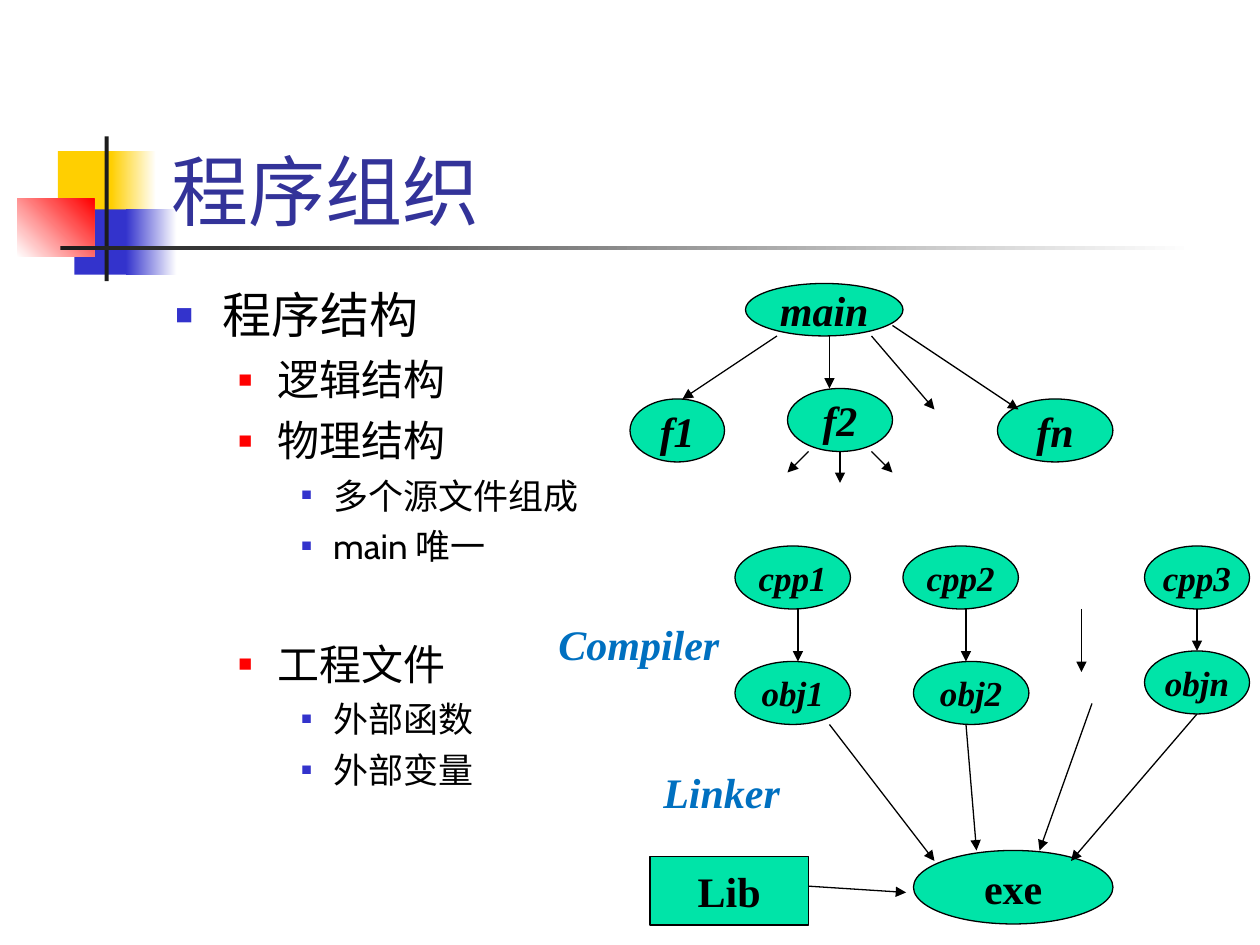
from typing import NamedTuple, Optional

from lxml.etree import SubElement
from pptx import Presentation
from pptx.dml.color import RGBColor as RGB
from pptx.enum.shapes import MSO_CONNECTOR as Link, MSO_SHAPE as Form
from pptx.enum.text import MSO_ANCHOR as Anchor, MSO_AUTO_SIZE as Auto, PP_ALIGN as Align
from pptx.oxml.ns import qn
from pptx.util import Cm, Pt

BLACK = RGB(0x00, 0x00, 0x00)
WHITE = RGB(0xFF, 0xFF, 0xFF)
DARK = RGB(0x1C, 0x1C, 0x1C)
GOLD = RGB(0xFF, 0xCF, 0x01)
BLUE = RGB(0x33, 0x33, 0xCC)
RED = RGB(0xFF, 0x00, 0x00)
NAVY = RGB(0x33, 0x33, 0x99)
GREEN = RGB(0x00, 0xE4, 0xA8)
SKY = RGB(0x00, 0x70, 0xC0)
SANS, SERIF = "Cabin", "Times New Roman"
STEP = 2.54 / 12  # diagram grid, in cm


class Block(NamedTuple):
    left: float
    top: float
    width: float
    height: float
    color: RGB
    fade: Optional[RGB] = None
    angle: int = 0


class Level(NamedTuple):
    size: int
    left: float
    hang: float
    before: int
    color: RGB
    scale: int


class Item(NamedTuple):
    text: str
    level: int
    before: Optional[int] = None


class Node(NamedTuple):
    text: str
    left: float
    top: float
    width: float
    height: float = 6
    size: int = 24
    italic: bool = True
    form: Form = Form.OVAL


class Label(NamedTuple):
    text: str
    left: float
    top: float
    width: float


class Arrow(NamedTuple):
    x1: float
    y1: float
    x2: float
    y2: float


BLOCKS = [
    Block(1.17, 3.05, 1.22, 1.32, GOLD),
    Block(2.24, 3.05, 0.91, 1.32, GOLD, WHITE),
    Block(1.5, 4.22, 1.17, 1.32, BLUE),
    Block(2.54, 4.22, 1.02, 1.32, BLUE, WHITE),
    Block(0.35, 4.01, 1.55, 1.17, WHITE, RED, 45),
    Block(2.11, 2.75, 0.08, 2.92, DARK),
    Block(1.22, 4.95, 22.86, 0.09, DARK, WHITE),
]
LEVELS = [
    Level(28, 0.95, 0.95, 7, BLUE, 60),
    Level(24, 2.06, 0.79, 6, RED, 55),
    Level(20, 3.18, 0.64, 5, BLUE, 50),
]
ITEMS = [
    Item("程序结构", 0), Item("逻辑结构", 1), Item("物理结构", 1),
    Item("多个源文件组成", 2), Item("main 唯一", 2),
    Item("工程文件", 1, 41), Item("外部函数", 2), Item("外部变量", 2),
]
NODES = [
    Node("main", 71, 27, 15, 5),
    Node("f1", 60, 38, 9), Node("f2", 75, 37, 10), Node("fn", 95, 38, 11),
    Node("cpp1", 70, 52, 11, size=20), Node("cpp2", 86, 52, 11, size=20),
    Node("cpp3", 109, 52, 10, size=20),
    Node("obj1", 70, 63, 11, size=20), Node("obj2", 87, 63, 11, size=20),
    Node("objn", 109, 62, 10, size=20),
    Node("exe", 87, 81, 19, 7, italic=False),
    Node("Lib", 61.9, 81.6, 15.1, 6.5, italic=False, form=Form.RECTANGLE),
]
ARROWS = [
    Arrow(74, 32, 65, 38), Arrow(79, 32, 79, 37),
    Arrow(85, 31, 97, 39), Arrow(83, 32, 89, 39),
    Arrow(77, 43, 75, 45), Arrow(80, 43, 80, 46), Arrow(83, 43, 85, 45),
    Arrow(76, 58, 76, 63), Arrow(92, 58, 92, 63),
    Arrow(103, 58, 103, 64), Arrow(114, 58, 114, 62),
    Arrow(79, 69, 89, 82), Arrow(92, 69, 93, 81),
    Arrow(104, 67, 99, 81), Arrow(114, 68, 102, 82),
    Arrow(77, 84.4, 86.3, 85),
]
LABELS = [Label("Compiler", 52, 58.35, 17.9), Label("Linker", 62, 72.4, 13.7)]


def grid(*steps: float) -> list:
    return [Cm(n * STEP) for n in steps]


def place(shape, left: float, top: float, width: float, height: float) -> None:
    shape.left, shape.top = Cm(left), Cm(top)
    shape.width, shape.height = Cm(width), Cm(height)


def style(para, name: str, size: int, color: RGB, bold=False, italic=False) -> None:
    font = para.font
    font.name, font.size = name, Pt(size)
    font.bold, font.italic = bold, italic
    font.color.rgb = color


def add_block(slide, block: Block, order: int) -> None:
    """Draw a block of the ornament behind the text."""
    box = [Cm(n) for n in block[:4]]
    shape = slide.shapes.add_shape(Form.RECTANGLE, *box)
    shape.shadow.inherit = False
    shape.line.fill.background()
    if block.fade is None:
        shape.fill.solid()
        shape.fill.fore_color.rgb = block.color
    else:
        shape.fill.gradient()
        shape.fill.gradient_angle = block.angle
        for stop, color in zip(shape.fill.gradient_stops, (block.color, block.fade)):
            stop.color.rgb = color
    slide.shapes._spTree.insert(2 + order, shape._element)


def add_item(para, item: Item) -> None:
    level = LEVELS[item.level]
    para.text, para.level = item.text, item.level
    para.alignment = Align.LEFT
    para.space_before = Pt(item.before or level.before)
    props = para._p.get_or_add_pPr()
    props.set("marL", str(Cm(level.left)))
    props.set("indent", str(-Cm(level.hang)))
    SubElement(SubElement(props, qn("a:buClr")), qn("a:srgbClr"), val=str(level.color))
    SubElement(props, qn("a:buSzPct"), val=str(level.scale * 1000))
    SubElement(props, qn("a:buFont"), typeface="Arial")
    SubElement(props, qn("a:buChar"), char="■")
    style(para, SANS, level.size, BLACK)


def add_node(slide, node: Node) -> None:
    box = grid(node.left, node.top, node.width, node.height)
    shape = slide.shapes.add_shape(node.form, *box)
    shape.shadow.inherit = False
    shape.fill.solid()
    shape.fill.fore_color.rgb = GREEN
    shape.line.color.rgb = BLACK
    shape.line.width = Pt(0.75)
    frame = shape.text_frame
    frame.word_wrap, frame.vertical_anchor = False, Anchor.MIDDLE
    para = frame.paragraphs[0]
    para.text, para.alignment = node.text, Align.CENTER
    style(para, SERIF, node.size, BLACK, True, node.italic)


def add_arrow(slide, arrow: Arrow) -> None:
    line = slide.shapes.add_connector(Link.STRAIGHT, *grid(*arrow))
    line.line.color.rgb = BLACK
    line.line.width = Pt(0.75)
    SubElement(line.line._get_or_add_ln(), qn("a:tailEnd"), type="triangle")
    SubElement(line._element.spPr, qn("a:effectLst"))


def add_label(slide, label: Label) -> None:
    box = slide.shapes.add_textbox(*grid(label.left, label.top, label.width, 6))
    frame = box.text_frame
    frame.word_wrap, frame.auto_size = False, Auto.SHAPE_TO_FIT_TEXT
    para = frame.paragraphs[0]
    para.text = label.text
    style(para, SERIF, 24, SKY, True, True)


def main() -> None:
    deck = Presentation()
    deck.slide_width, deck.slide_height = Cm(25.4), Cm(19.05)
    slide = deck.slides.add_slide(deck.slide_layouts[1])
    title, body = slide.placeholders

    place(title, 3.2, 1.7, 21.64, 3.18)
    title.text_frame.auto_size = Auto.NONE
    title.text_frame.vertical_anchor = Anchor.BOTTOM
    head = title.text_frame.paragraphs[0]
    head.text, head.alignment = "程序组织", Align.LEFT
    style(head, SANS, 44, NAVY)

    place(body, 3.28, 5.61, 21.59, 12.93)
    frame = body.text_frame
    frame.auto_size = Auto.NONE
    for n, item in enumerate(ITEMS):
        add_item(frame.add_paragraph() if n else frame.paragraphs[0], item)

    for n, block in enumerate(BLOCKS):
        add_block(slide, block, n)
    for draw, parts in ((add_node, NODES), (add_arrow, ARROWS), (add_label, LABELS)):
        for part in parts:
            draw(slide, part)
    deck.save("out.pptx")


if __name__ == "__main__":
    main()
